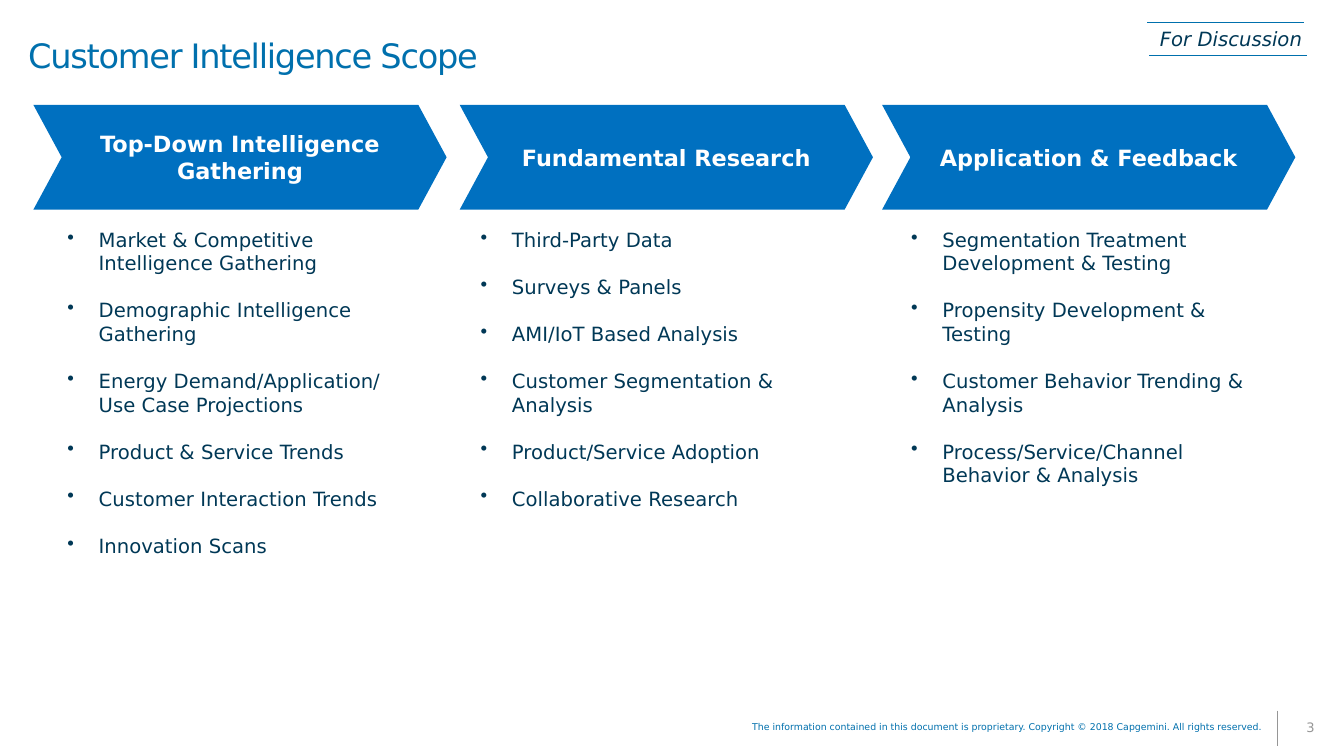
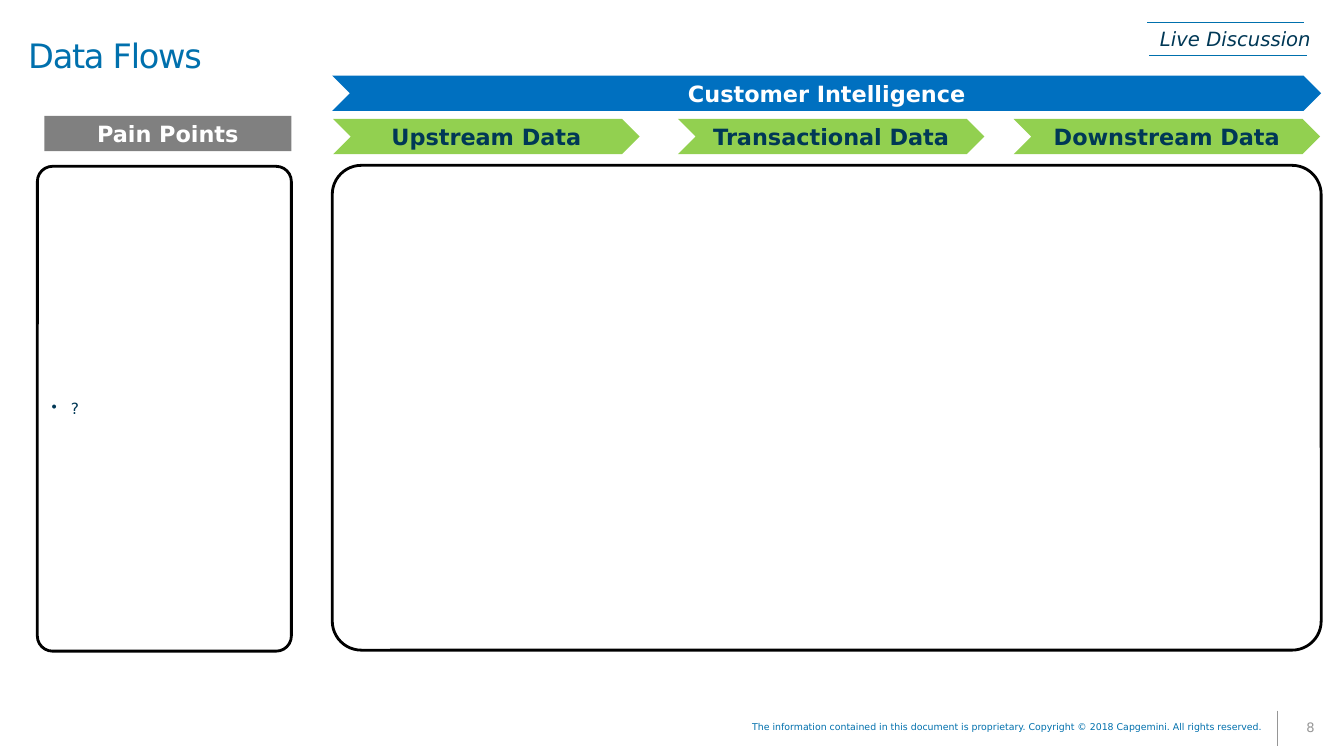
from collections import namedtuple

from lxml import etree
from pptx import Presentation, util as u
from pptx.dml.color import RGBColor
from pptx.enum import shapes, text
from pptx.oxml.ns import qn

BLUE = RGBColor(0x00, 0x70, 0xC0)
TITLE_BLUE = RGBColor(0x00, 0x70, 0xAD)
NAVY = RGBColor(0x00, 0x38, 0x56)
GREEN = RGBColor(0x92, 0xD0, 0x50)
GREY = RGBColor(0x80, 0x80, 0x80)
PALE_GREY = RGBColor(0x96, 0x96, 0x96)
BLACK = RGBColor(0x00, 0x00, 0x00)
WHITE = RGBColor(0xFF, 0xFF, 0xFF)

FACE = "DejaVu Sans"
WIDTH, HEIGHT = u.Inches(13.33), u.Inches(7.5)
LEFT, CENTER, RIGHT = (text.PP_ALIGN.LEFT, text.PP_ALIGN.CENTER,
                       text.PP_ALIGN.RIGHT)
TOP, MIDDLE = text.MSO_ANCHOR.TOP, text.MSO_ANCHOR.MIDDLE
CHEVRON = shapes.MSO_SHAPE.CHEVRON
BAR = shapes.MSO_SHAPE.RECTANGLE
ROUNDED = shapes.MSO_SHAPE.ROUNDED_RECTANGLE

COPYRIGHT = ("The information contained in this document is proprietary. "
             "Copyright © 2018 Capgemini. All rights reserved.")

# Text formats
TITLE = dict(size=u.Pt(24), color=TITLE_BLUE)
TAG = dict(size=u.Pt(14), color=NAVY, italic=True)
HEADER = dict(size=u.Pt(16), color=WHITE, bold=True)
STAGE = dict(HEADER, color=NAVY)
BODY = dict(size=u.Pt(14), color=NAVY)
NOTE = dict(size=u.Pt(11), color=NAVY)
LEGAL = dict(size=u.Pt(6.7), color=TITLE_BLUE)
NUMBER = dict(size=u.Pt(9.3), color=PALE_GREY)


class Box(namedtuple("Box", "left top width height")):
    """Area in hundredths of the slide's width and height."""

    def inner(self, left, top, width, height):
        return Box(self.left + left, self.top + top, width, height)

    def lengths(self):
        return (*at(self.left, self.top), *at(self.width, self.height))


def at(x, y):
    return round(WIDTH * x / 100), round(HEIGHT * y / 100)


# Building blocks
def write(frame, lines, style, align=LEFT, anchor=TOP, indent=0, **layout):
    """Fill a text frame; an indent gives every line a hanging bullet."""
    frame.word_wrap = True
    frame.vertical_anchor = anchor
    for index, line in enumerate(lines):
        paragraph = frame.paragraphs[0] if index == 0 else frame.add_paragraph()
        paragraph.alignment = align
        for name, value in layout.items():
            setattr(paragraph, name, value)
        if indent:
            props = paragraph._p.get_or_add_pPr()
            props.set("marL", str(indent))
            props.set("indent", str(-indent))
            etree.SubElement(props, qn("a:buChar")).set("char", "•")
        run = paragraph.add_run()
        run.text = line
        run.font.name = FACE
        for name, value in style.items():
            if name == "color":
                run.font.color.rgb = value
            else:
                setattr(run.font, name, value)


def add_text(slide, box, lines, style, **options):
    label = slide.shapes.add_textbox(*box.lengths())
    write(label.text_frame, lines, style, **options)
    return label


def add_block(slide, kind, box, fill, outline=None, adjust=None):
    block = slide.shapes.add_shape(kind, *box.lengths())
    block.shadow.inherit = False
    block.fill.solid()
    block.fill.fore_color.rgb = fill
    if outline is None:
        block.line.fill.background()
    else:
        block.line.color.rgb = outline
        block.line.width = u.Pt(2)
    if adjust is not None:
        block.adjustments[0] = adjust
    return block


def add_header(slide, kind, box, caption, fill, style=HEADER, adjust=None):
    header = add_block(slide, kind, box, fill, adjust=adjust)
    write(header.text_frame, [caption], style, align=CENTER, anchor=MIDDLE)


def add_panel(slide, box):
    return add_block(slide, ROUNDED, box, WHITE, BLACK, 0.06)


def add_rule(slide, start, end, color):
    rule = slide.shapes.add_connector(shapes.MSO_CONNECTOR.STRAIGHT,
                                      *at(*start), *at(*end))
    rule.line.color.rgb = color
    rule.line.width = u.Pt(0.75)
    etree.SubElement(rule._element.spPr, qn("a:effectLst"))


# Regions shared by all slides
def title_band(slide, box, title):
    heading = add_text(slide, box, [title], TITLE, anchor=MIDDLE,
                       line_spacing=0.85)
    frame = heading.text_frame
    margins = dict(left=0.28, top=0.03, right=0.15, bottom=0.03)
    for side, inches in margins.items():
        setattr(frame, f"margin_{side}", u.Inches(inches))
    frame.paragraphs[0].runs[0].font._element.set("spc", "-90")


def status_tag(slide, box, status):
    span, shift = 11.7, 0.17
    for x, y in ((box.left, box.top),
                 (box.left + shift, box.top + box.height)):
        add_rule(slide, (x, y), (x + span, y), TITLE_BLUE)
    add_text(slide, box.inner(0.22, 0, 13.5, box.height), [status], TAG)


def footer(slide, box, number):
    divider = 50.1
    x = box.left + divider
    add_rule(slide, (x, box.top), (x, box.top + box.height), PALE_GREY)
    add_text(slide, box.inner(0, 0.93, 49.8, 2.67), [COPYRIGHT], LEGAL,
             align=RIGHT, line_spacing=0.85)
    add_text(slide, box.inner(divider, 0, box.width - divider, box.height),
             [number], NUMBER, align=CENTER, anchor=MIDDLE, line_spacing=0.85)


def new_slide(deck, title, status, number):
    slide = deck.slides.add_slide(deck.slide_layouts[6])
    title_band(slide, Box(0, 0, 100, 15.47), title)
    status_tag(slide, Box(85.35, 2.93, 11.93, 4.4), status)
    footer(slide, Box(44.93, 94, 55.07, 4.67), number)
    return slide


# Scope slide
SCOPE = (  # column left, list inset, heading, topics
    (2.48, 1.8, "Top-Down Intelligence Gathering", (
        "Market & Competitive Intelligence Gathering",
        "Demographic Intelligence Gathering",
        "Energy Demand/Application/ Use Case Projections",
        "Product & Service Trends",
        "Customer Interaction Trends",
        "Innovation Scans")),
    (34.2, 0.83, "Fundamental Research", (
        "Third-Party Data",
        "Surveys & Panels",
        "AMI/IoT Based Analysis",
        "Customer Segmentation & Analysis",
        "Product/Service Adoption",
        "Collaborative Research")),
    (65.63, 1.43, "Application & Feedback", (
        "Segmentation Treatment Development & Testing",
        "Propensity Development & Testing",
        "Customer Behavior Trending & Analysis",
        "Process/Service/Channel Behavior & Analysis")),
)


def scope_column(slide, box, inset, heading, topics):
    add_header(slide, CHEVRON, box.inner(0, 0, box.width, 13.87), heading,
               BLUE, adjust=0.27)
    add_text(slide, box.inner(inset, 15.6, 26.55, box.height - 15.6), topics,
             BODY, indent=u.Inches(0.31), line_spacing=u.Pt(16.8),
             space_after=u.Pt(16.8))


def scope_slide(deck):
    slide = new_slide(deck, "Customer Intelligence Scope", "For Discussion", "3")
    for left, inset, heading, topics in SCOPE:
        scope_column(slide, Box(left, 13.87, 30.75, 67.2), inset, heading, topics)


# Data flow slide
STAGES = ((0.07, "Upstream Data"), (25.73, "Transactional Data"),
          (50.7, "Downstream Data"))
BAR_HEIGHT = 4.67


def pain_points(slide, box):
    inset, panel_top = 0.52, 6.67
    add_header(slide, BAR, box.inner(inset, 0, box.width - inset, BAR_HEIGHT),
               "Pain Points", GREY)
    panel = add_panel(slide, box.inner(0, panel_top, box.width,
                                       box.height - panel_top))
    write(panel.text_frame, ["?"], NOTE, anchor=MIDDLE, indent=u.Inches(0.19))


def intelligence_flow(slide, box):
    stage_top, panel_top = 5.73, 11.87
    add_header(slide, CHEVRON, box.inner(0, 0, box.width, BAR_HEIGHT),
               "Customer Intelligence", BLUE)
    for left, stage in STAGES:
        add_header(slide, CHEVRON, box.inner(left, stage_top, 22.8, BAR_HEIGHT),
                   stage, GREEN, STAGE)
    add_panel(slide, box.inner(0, panel_top, box.width, box.height - panel_top))


def flow_slide(deck):
    slide = new_slide(deck, "Data Flows", "Live Discussion", "8")
    pain_points(slide, Box(2.78, 15.33, 18.9, 70.8))
    intelligence_flow(slide, Box(24.72, 10, 73.58, 76))


def main():
    deck = Presentation()
    deck.slide_width, deck.slide_height = WIDTH, HEIGHT
    scope_slide(deck)
    flow_slide(deck)
    deck.save("out.pptx")


if __name__ == "__main__":
    main()
